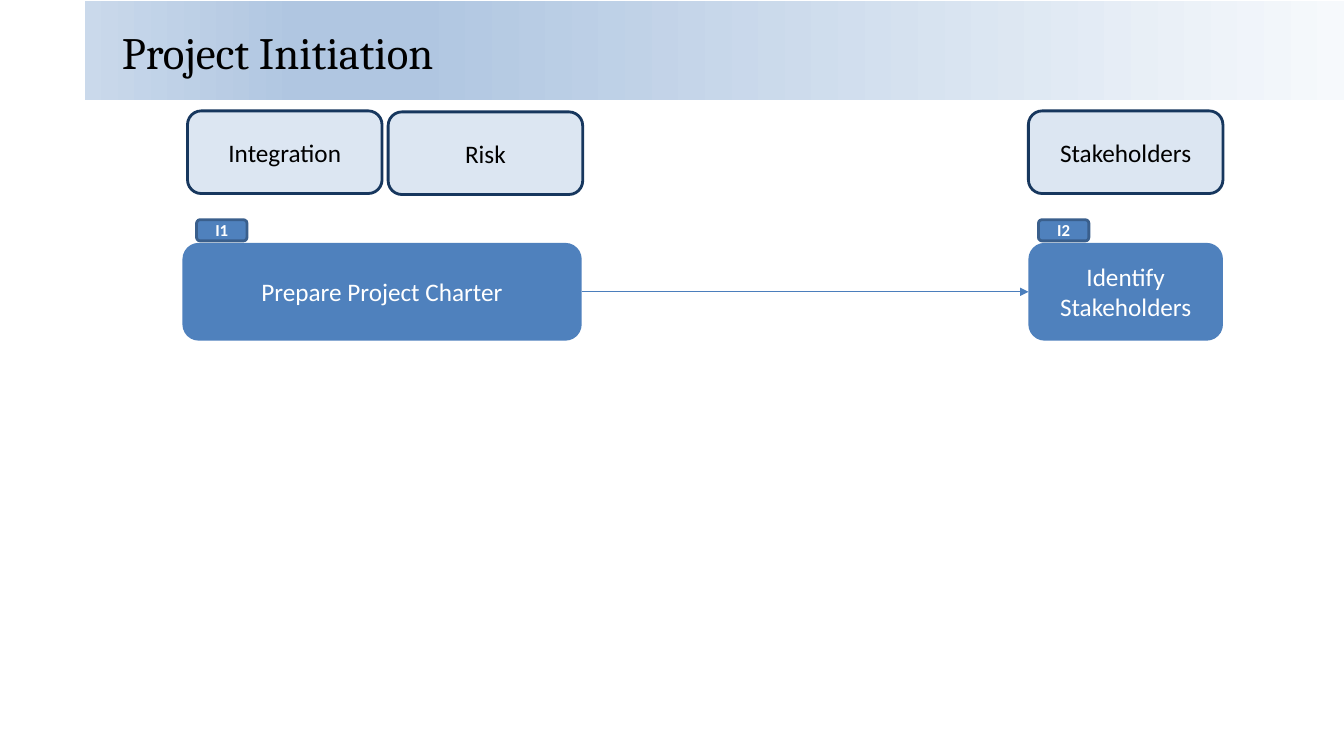
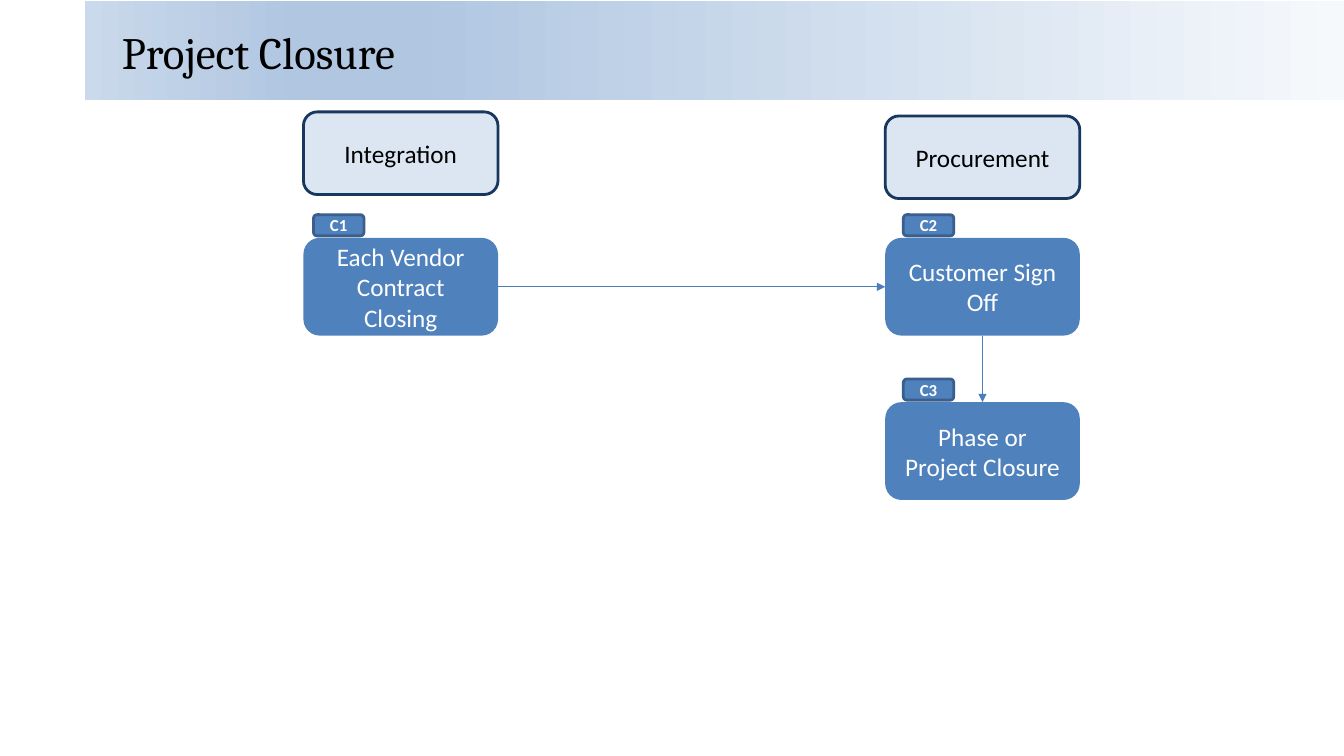
from dataclasses import dataclass

import lxml.etree
import pptx
import pptx.dml.color
import pptx.enum.dml
import pptx.enum.shapes
import pptx.enum.text
import pptx.oxml.ns
import pptx.util

PX = 9144  # EMU per px, 100 px to the inch
COLORS = {
    "black": "000000",
    "white": "FFFFFF",
    "step": "4F81BD",
    "badge_edge": "3A5F8C",
    "header": "DCE6F2",
    "header_edge": "17375E",
    "arrow": "4B7EBC",
}
BAND_STOPS = [(0, "F6F9FC"), (74, "B0C6E1"), (83, "B0C6E1"), (100, "CAD9EB")]
COLUMN_WIDTH, HEADER_HEIGHT, STEP_HEIGHT = 193, 82, 97
BADGE_WIDTH, BADGE_HEIGHT, BADGE_RISE = 50, 21, 23
TOP, LEFT, BOTTOM, RIGHT = range(4)  # connection sites of a box


@dataclass
class Style:
    fill: str
    text: str
    edge: str | None = None
    size: int = 18
    bold: bool = False


HEADER = Style("header", "black", "header_edge")
STEP = Style("step", "white")
BADGE = Style("step", "white", "badge_edge", 12, True)


@dataclass
class Header:
    text: str
    left: int
    top: int


@dataclass
class Step:
    code: str
    text: str
    left: int
    top: int
    badge_indent: int
    width: int = COLUMN_WIDTH


@dataclass
class Link:
    start: str
    start_site: int
    end: str
    end_site: int


@dataclass
class Flow:
    title: str
    headers: list[Header]
    steps: list[Step]
    links: list[Link]


FLOWS = [
    Flow(
        "Project Initiation",
        [Header("Integration", 186, 110), Header("Risk", 385, 111),
         Header("Stakeholders", 1020, 110)],
        [Step("I1", "Prepare Project Charter", 181, 241, 14, 396),
         Step("I2", "Identify Stakeholders", 1020, 241, 10)],
        [Link("I1", RIGHT, "I2", LEFT)],
    ),
    Flow(
        "Project Closure",
        [Header("Integration", 301, 111), Header("Procurement", 878, 115)],
        [Step("C1", "Each Vendor Contract Closing", 301, 236, 10),
         Step("C2", "Customer Sign Off", 878, 236, 18),
         Step("C3", "Phase or Project Closure", 878, 399, 18)],
        [Link("C1", RIGHT, "C2", LEFT), Link("C2", BOTTOM, "C3", TOP)],
    ),
]


def px(*lengths: int) -> list[int]:
    return [length * PX for length in lengths]


def color(name: str) -> pptx.dml.color.RGBColor:
    return pptx.dml.color.RGBColor.from_string(COLORS[name])


def add_child(parent, tag: str, **attributes: str):
    return lxml.etree.SubElement(parent, pptx.oxml.ns.qn(tag), attributes)


def format_text(para, name: str, size: int, text_color: str, bold: bool = False) -> None:
    para.font.name = name
    para.font.size = pptx.util.Pt(size)
    para.font.bold = bold
    para.font.color.rgb = color(text_color)


def add_box(page, text: str, bounds: tuple[int, int, int, int], style: Style):
    box = page.shapes.add_shape(
        pptx.enum.shapes.MSO_SHAPE.ROUNDED_RECTANGLE, *px(*bounds))
    box.shadow.inherit = False
    box.fill.solid()
    box.fill.fore_color.rgb = color(style.fill)
    if style.edge:
        box.line.color.rgb = color(style.edge)
        box.line.width = pptx.util.Pt(2)
    else:
        box.line.fill.background()
    frame = box.text_frame
    frame.word_wrap = True
    frame.vertical_anchor = pptx.enum.text.MSO_ANCHOR.MIDDLE
    para = frame.paragraphs[0]
    para.text = text
    para.alignment = pptx.enum.text.PP_ALIGN.CENTER
    format_text(para, "Calibri", style.size, style.text, style.bold)
    return box


def add_step(page, step: Step):
    box = add_box(page, step.text, (step.left, step.top, step.width, STEP_HEIGHT), STEP)
    badge_bounds = (step.left + step.badge_indent, step.top - BADGE_RISE,
                    BADGE_WIDTH, BADGE_HEIGHT)
    add_box(page, step.code, badge_bounds, BADGE)
    return box


def add_arrow(page, link: Link, boxes: dict) -> None:
    arrow = page.shapes.add_connector(
        pptx.enum.shapes.MSO_CONNECTOR.STRAIGHT, 0, 0, 0, 0)
    arrow.begin_connect(boxes[link.start], link.start_site)
    arrow.end_connect(boxes[link.end], link.end_site)
    arrow.line.color.rgb = color("arrow")
    arrow.line.width = pptx.util.Pt(0.75)
    line = arrow.element.spPr.find(pptx.oxml.ns.qn("a:ln"))
    add_child(line, "a:tailEnd", type="triangle")
    add_child(arrow.element.spPr, "a:effectLst")


def prepare_layout(layout, page) -> None:
    """Give the layout its title position and the gradient band behind it."""
    title = layout.placeholders[0]
    title.left, title.top, title.width, title.height = px(111, 6, 1178, 91)
    title.text_frame.vertical_anchor = pptx.enum.text.MSO_ANCHOR.MIDDLE

    band = page.shapes.add_shape(
        pptx.enum.shapes.MSO_SHAPE.RECTANGLE, *px(84, 1, 1249, 98))
    band.shadow.inherit = False
    band.line.fill.background()
    band.fill.gradient()
    band.fill.gradient_angle = 180
    stops = band.element.spPr.find(".//" + pptx.oxml.ns.qn("a:gsLst"))
    stops.clear()
    for percent, value in BAND_STOPS:
        stop = add_child(stops, "a:gs", pos=str(percent * 1000))
        add_child(stop, "a:srgbClr", val=value)
    # The band is drawn on a page, then moved to the layout
    title.element.addprevious(band.element)


def fill_page(page, flow: Flow) -> None:
    # Title
    para = page.shapes.title.text_frame.paragraphs[0]
    para.text = flow.title
    para.alignment = pptx.enum.text.PP_ALIGN.LEFT
    format_text(para, "Cambria", 32, "black")

    # Steps and the arrows between them
    boxes = {step.code: add_step(page, step) for step in flow.steps}
    for link in flow.links:
        add_arrow(page, link, boxes)

    # Knowledge areas
    for header in flow.headers:
        add_box(page, header.text,
                (header.left, header.top, COLUMN_WIDTH, HEADER_HEIGHT), HEADER)


def main() -> None:
    deck = pptx.Presentation()
    deck.slide_width, deck.slide_height = px(1333, 750)
    layout = deck.slide_layouts.get_by_name("Title Only")
    pages = [deck.slides.add_slide(layout) for _ in FLOWS]
    prepare_layout(layout, pages[0])
    for page, flow in zip(pages, FLOWS):
        fill_page(page, flow)
    deck.save("out.pptx")


if __name__ == "__main__":
    main()
